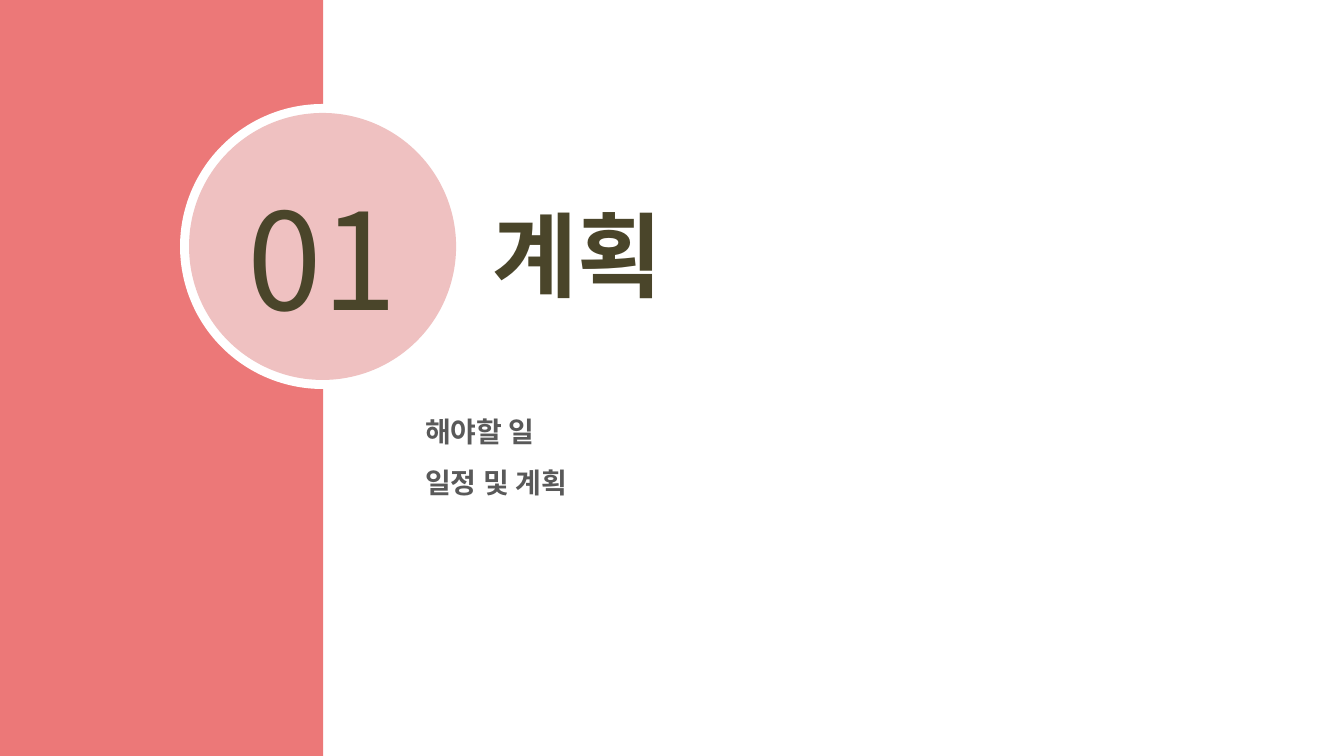
from pptx import Presentation
from pptx import util as u
from pptx.dml.color import RGBColor
from pptx.enum import shapes, text

PX = 914400 / 100.8
FONT = "Noto Sans CJK KR"
CORAL = RGBColor(0xEC, 0x78, 0x78)
PINK = RGBColor(0xEF, 0xC1, 0xC1)
WHITE = RGBColor(0xFF, 0xFF, 0xFF)
OLIVE = RGBColor(0x4A, 0x45, 0x2A)
GRAY = RGBColor(0x59, 0x59, 0x59)


def px(length):
    """Turn whole pixels into EMU."""
    return u.Emu(round(length * PX))


def add_panel(slide, kind, box, color):
    """Add a flat, unlined shape at box (left, top, width, height)."""
    panel = slide.shapes.add_shape(kind, *map(px, box))
    panel.shadow.inherit = False
    panel.fill.solid()
    panel.fill.fore_color.rgb = color
    panel.line.fill.background()
    return panel


def write(shape, lines, size, leading, color, bold=True,
          align=text.PP_ALIGN.LEFT, anchor=text.MSO_ANCHOR.TOP):
    """Write lines into a shape in one style, with leading in points."""
    frame = shape.text_frame
    frame.text = "\n".join(lines)
    frame.word_wrap = True
    frame.auto_size = text.MSO_AUTO_SIZE.NONE
    frame.vertical_anchor = anchor
    for paragraph in frame.paragraphs:
        paragraph.alignment = align
        paragraph.line_spacing = u.Pt(leading)
        paragraph.space_before = paragraph.space_after = u.Pt(0)
        for run in paragraph.runs:
            font = run.font
            font.name, font.size, font.bold = FONT, u.Pt(size), bold
            font.color.rgb = color
            east_asian = font._element.makeelement(
                "{http://schemas.openxmlformats.org/drawingml/2006/main}ea",
                {"typeface": FONT})
            font._element.find("{*}latin").addnext(east_asian)


def place(slide, placeholder, box):
    """Move a placeholder to box and bring it to the front."""
    (placeholder.left, placeholder.top,
     placeholder.width, placeholder.height) = map(px, box)
    slide.shapes._spTree.append(placeholder._element)


def main():
    """Build the section slide."""
    deck = Presentation()
    deck.slide_width, deck.slide_height = u.Inches(13.33), u.Inches(7.5)
    slide = deck.slides.add_slide(deck.slide_layouts.get_by_name("Section Header"))
    title, topics = slide.placeholders

    rectangle, oval = shapes.MSO_SHAPE.RECTANGLE, shapes.MSO_SHAPE.OVAL
    add_panel(slide, rectangle, (0, 0, 323, 757), CORAL)
    add_panel(slide, rectangle, (326, 0, 1004, 756), WHITE)
    add_panel(slide, oval, (180, 104, 285, 285), WHITE)

    place(slide, title, (482, 185, 707, 122))
    write(title, ["계획"], 66, 85, OLIVE)
    place(slide, topics, (415, 393, 419, 214))
    write(topics, ["해야할 일", "일정 및 계획"], 20, 36, GRAY)

    badge = add_panel(slide, oval, (189, 113, 267, 267), PINK)
    badge.text_frame.margin_top = badge.text_frame.margin_bottom = 0
    write(badge, ["01"], 96, 130, OLIVE, bold=False,
          align=text.PP_ALIGN.CENTER, anchor=text.MSO_ANCHOR.MIDDLE)

    deck.save("out.pptx")


main()
